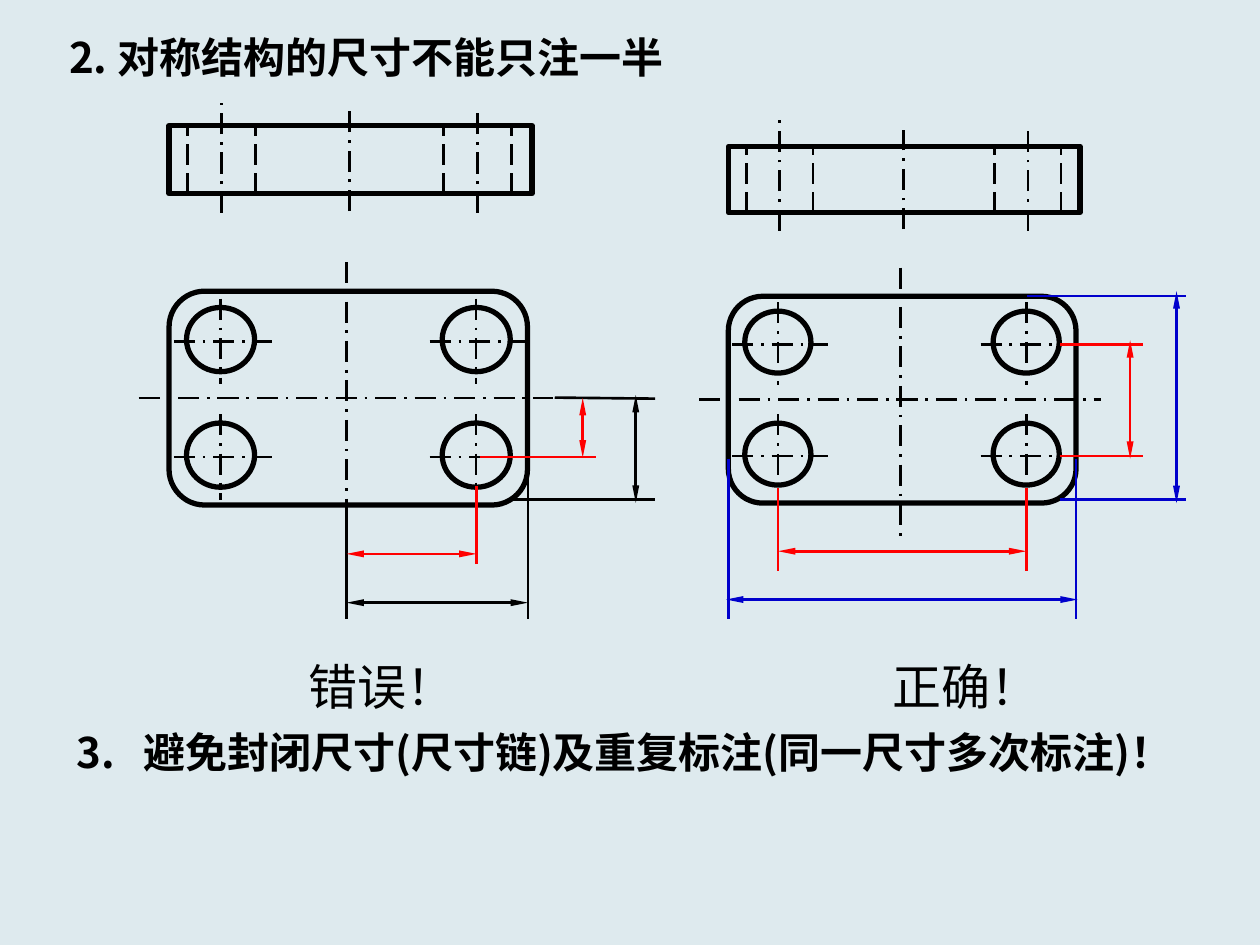
from lxml.etree import SubElement
from pptx import Presentation
from pptx.dml.color import RGBColor
from pptx.enum.dml import MSO_LINE
from pptx.enum.shapes import MSO_CONNECTOR, MSO_SHAPE
from pptx.enum.text import MSO_ANCHOR, PP_ALIGN
from pptx.oxml.ns import qn
from pptx.util import Pt

HUES = {"paper": "DEEAEE", "ink": "000000", "red": "FF0000", "blue": "0000CC"}
FONT = "Noto Sans CJK SC"
AXIS = MSO_LINE.LONG_DASH_DOT
HIDDEN = MSO_LINE.LONG_DASH

deck = Presentation()
deck.slide_width, deck.slide_height = Pt(720), Pt(540)
slide = deck.slides.add_slide(deck.slide_layouts[6])
slide.background.fill.solid()
slide.background.fill.fore_color.rgb = RGBColor.from_string(HUES["paper"])
shapes = slide.shapes


def draw_line(x1, y1, x2, y2, hue="ink", dash=None, arrow=False):
    line = shapes.add_connector(MSO_CONNECTOR.STRAIGHT, Pt(x1), Pt(y1), Pt(x2), Pt(y2))
    line.line.width = Pt(1.5)
    line.line.color.rgb = RGBColor.from_string(HUES[hue])
    if dash:
        line.line.dash_style = dash
    props = line._element.spPr
    if arrow:
        for end in ("a:headEnd", "a:tailEnd"):
            SubElement(props.find(qn("a:ln")), qn(end), type="triangle", w="sm", len="lg")
    SubElement(props, qn("a:effectLst"))


def draw_shape(kind, left, top, width, height):
    shape = shapes.add_shape(kind, Pt(left), Pt(top), Pt(width), Pt(height))
    shape.shadow.inherit = False
    shape.fill.background()
    shape.line.width = Pt(3)
    shape.line.color.rgb = RGBColor.from_string(HUES["ink"])
    return shape


views = [
    {
        "plate": (96.6, 166.4, 204.8, 122.2),
        "hole": (38.9, 36.7), "cols": (106.6, 252.7), "rows": (175.7, 241.7),
        "cross": (19.4, 19.4, 56, 49),
        "level": (79.2, 227.5, 316.1, 227.5), "upright": (198, 149.8, 198, 308.9),
        "side": (96.6, 71.8, 207.4, 38.9),
        "axes": ((126.7, 121.7, 58.2), (272.9, 121.7, 64.5)),
        "middle": (199.6, 120.6, 63.4),
    },
    {
        "plate": (416.2, 169.3, 198.7, 118.2),
        "hole": (37.8, 35.4), "cols": (425.6, 567.5), "rows": (177.8, 241.8),
        "cross": (19, 18.9, 54.7, 47.5),
        "level": (399.6, 228.4, 629.3, 228.4), "upright": (514.6, 152.9, 514.6, 306.7),
        "side": (416.2, 83.6, 201, 37.9),
        "axes": ((445.5, 131.8, 68.7), (587.4, 131.8, 74.5)),
        "middle": (516.2, 131, 74.2),
    },
]

for view in views:
    draw_shape(MSO_SHAPE.ROUNDED_RECTANGLE, *view["plate"]).adjustments[0] = 0.167
    dx, dy, wide, tall = view["cross"]
    for x in view["cols"]:
        for y in view["rows"]:
            draw_shape(MSO_SHAPE.OVAL, x, y, *view["hole"])
            draw_line(x - 7.2, y + dy, x - 7.2 + wide, y + dy, dash=AXIS)
            draw_line(x + dx, y - 5, x + dx, y - 5 + tall, dash=AXIS)
    draw_line(*view["level"], dash=AXIS)
    draw_line(*view["upright"], dash=AXIS)

    left, top, width, height = view["side"]
    draw_shape(MSO_SHAPE.RECTANGLE, left, top, width, height)
    for x, low, high in view["axes"]:
        draw_line(x, low, x, high, dash=AXIS)
        for edge in (x - dx, x + dx):
            draw_line(edge, top + height, edge, top, dash=HIDDEN)
    x, low, high = view["middle"]
    draw_line(x, low, x, high, dash=AXIS)

guides = [
    ("ink", 198, 353.5, 198, 287.3), ("ink", 301.7, 270, 301.7, 353.5),
    ("ink", 291.6, 285.6, 374.4, 285.6), ("ink", 317, 227.2, 374.4, 227.8),
    ("red", 272.3, 322.4, 272.3, 277.9), ("red", 274.5, 261.1, 340.6, 261.1),
    ("red", 444.6, 278.6, 444.6, 326.2), ("red", 586.5, 278.6, 586.5, 326.2),
    ("red", 606, 197, 653, 197), ("red", 605.5, 260.7, 653, 260.7),
    ("blue", 416.2, 262.1, 416.2, 353.5), ("blue", 614.9, 262.1, 614.9, 353.5),
    ("blue", 586.8, 169.2, 677.7, 169.2), ("blue", 605.5, 285.6, 677.7, 285.6),
]
spans = [
    ("red", 198, 316.5, 272.3, 316.5), ("red", 333, 227.5, 333, 261.4),
    ("ink", 198, 344.4, 301.7, 344.4), ("ink", 363.3, 225.8, 363.3, 287.3),
    ("red", 444.6, 315, 586.5, 315), ("red", 645.8, 194.4, 645.8, 262.1),
    ("blue", 414.9, 342.6, 615.8, 342.6), ("blue", 672.3, 166.4, 672.3, 287.5),
]
for marks, arrow in ((guides, False), (spans, True)):
    for hue, *ends in marks:
        draw_line(*ends, hue=hue, arrow=arrow)

notes = [
    ("2. 对称结构的尺寸不能只注一半", 32.4, 14.4, 469.4, 36, True),
    ("错误！", 155.5, 371.5, 97.9, 41, False),
    ("正确！", 488.9, 371.5, 97.9, 41, False),
    ("3.\t避免封闭尺寸(尺寸链)及重复标注(同一尺寸多次标注)！", 36.7, 411.8, 683.3, 64.8, True),
]
for words, left, top, width, height, head in notes:
    frame = shapes.add_textbox(Pt(left), Pt(top), Pt(width), Pt(height)).text_frame
    frame.word_wrap = head
    frame.vertical_anchor = MSO_ANCHOR.TOP if head else MSO_ANCHOR.MIDDLE
    para = frame.paragraphs[0]
    para.text = words
    para.alignment = PP_ALIGN.LEFT if head else PP_ALIGN.CENTER
    props = para._p.pPr
    if "\t" in words:
        tabs = SubElement(props, qn("a:tabLst"))
        SubElement(tabs, qn("a:tab"), pos=str(Pt(38)), algn="l")
    para.font.size = Pt(24 if head else 28)
    para.font.bold = head
    para.font.name = FONT
    para.font.color.rgb = RGBColor.from_string(HUES["ink"])
    SubElement(props.find(qn("a:defRPr")), qn("a:ea"), typeface=FONT)

deck.save("out.pptx")
